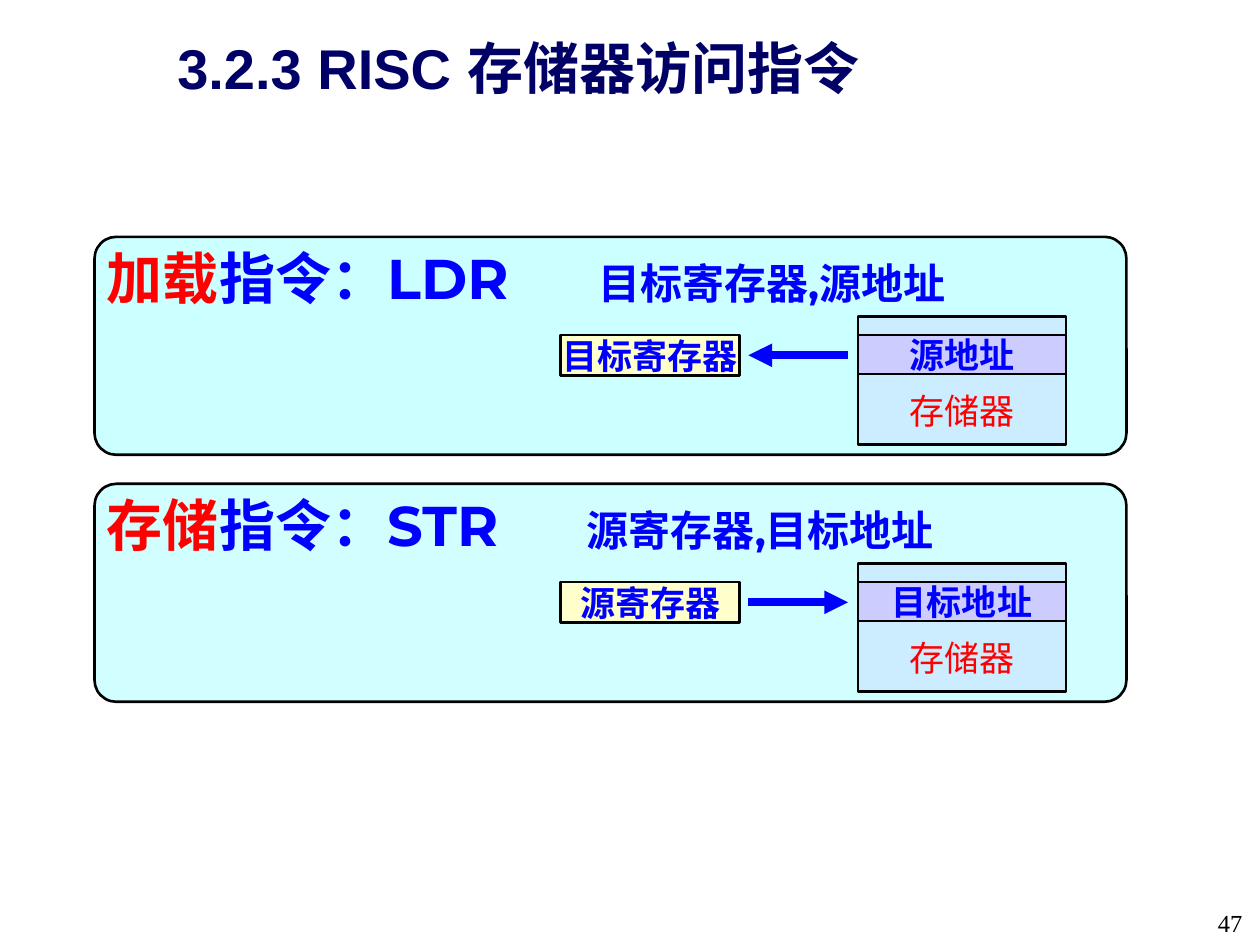
from dataclasses import dataclass

from lxml import etree
from pptx import Presentation
from pptx.dml.color import RGBColor
from pptx.enum.shapes import MSO_CONNECTOR, MSO_SHAPE
from pptx.enum.text import MSO_ANCHOR, PP_ALIGN
from pptx.oxml.ns import qn
from pptx.util import Inches, Pt

RECT, ROUND = MSO_SHAPE.RECTANGLE, MSO_SHAPE.ROUNDED_RECTANGLE
STRAIGHT = MSO_CONNECTOR.STRAIGHT
TOP, MIDDLE = MSO_ANCHOR.TOP, MSO_ANCHOR.MIDDLE
LEFT, CENTER, RIGHT = PP_ALIGN.LEFT, PP_ALIGN.CENTER, PP_ALIGN.RIGHT


@dataclass(frozen=True)
class Theme:
    navy: str = "000066"
    blue: str = "0000FF"
    red: str = "FF0000"
    black: str = "000000"
    ink: str = "010000"
    cyan: str = "CCFFFF"
    sky: str = "CCECFF"
    lilac: str = "CCCCFF"
    cream: str = "FFFFCC"
    serif: str = "Times New Roman"
    sans: str = "Arial"
    code: str = "Montserrat"
    head: int = 32
    lead: int = 24
    label: int = 20
    foot: int = 14
    edge: float = 1.5
    arrow: float = 4.5


class Deck:
    """Hold the theme and the current slide, and draw each kind of element."""

    def __init__(self, prs, theme):
        self.theme = theme
        self.slide = prs.slides.add_slide(prs.slide_layouts[5])
        self.shapes = self.slide.shapes

    def apply(self, target, values):
        for name, value in values.items():
            setattr(target, name, value)

    def place(self, box):
        return [Inches(length) for length in box]

    def fill_text(self, frame, runs, align, anchor=TOP, wrap=True, pad=(0.1, 0.05)):
        side, edge = self.place(pad)
        self.apply(frame, {
            "word_wrap": wrap, "vertical_anchor": anchor,
            "margin_left": side, "margin_right": side,
            "margin_top": edge, "margin_bottom": edge,
        })
        para = frame.paragraphs[0]
        para.alignment = align
        for text, size, face, color, bold in runs:
            run = para.add_run()
            run.text = text
            self.apply(run.font, {"size": Pt(size), "name": face, "bold": bold})
            run.font.color.rgb = RGBColor.from_string(color)
        return para

    def title(self, text, box):
        t = self.theme
        holder = self.shapes.title
        self.apply(holder, dict(zip(("left", "top", "width", "height"), self.place(box))))
        para = self.fill_text(holder.text_frame, [(text, t.head, t.sans, t.navy, True)],
                              CENTER, pad=(0.09, 0.05))
        para.line_spacing = 0.9

    def text(self, runs, box, align=LEFT, tab=None):
        frame = self.shapes.add_textbox(*self.place(box)).text_frame
        para = self.fill_text(frame, runs, align)
        if tab:
            stops = etree.SubElement(para._p.get_or_add_pPr(), qn("a:tabLst"))
            etree.SubElement(stops, qn("a:tab"), pos=str(Inches(tab)), algn="l")

    def block(self, kind, box, fill):
        shape = self.shapes.add_shape(kind, *self.place(box))
        shape.shadow.inherit = False
        shape.fill.solid()
        shape.fill.fore_color.rgb = RGBColor.from_string(fill)
        shape.line.color.rgb = RGBColor.from_string(self.theme.black)
        shape.line.width = Pt(self.theme.edge)
        return shape

    def panel(self, box, alpha):
        shape = self.block(ROUND, box, self.theme.cyan)
        shape.adjustments[0] = 0.1
        if alpha < 100:
            color = shape._element.spPr.find(qn("a:solidFill")).find(qn("a:srgbClr"))
            etree.SubElement(color, qn("a:alpha"), val=str(alpha * 1000))

    def cell(self, text, box, fill, color, bold=True, drop=0):
        t = self.theme
        frame = self.block(RECT, box, fill).text_frame
        self.fill_text(frame, [(text, t.label, t.serif, color, bold)], CENTER,
                       MIDDLE, False, (0, 0))
        frame.margin_top = Inches(drop)

    def arrow(self, start, end, y):
        line = self.shapes.add_connector(STRAIGHT, *self.place((start, y, end, y)))
        line.line.color.rgb = RGBColor.from_string(self.theme.blue)
        line.line.width = Pt(self.theme.arrow)
        props = line._element.spPr
        etree.SubElement(props.find(qn("a:ln")), qn("a:tailEnd"), type="triangle")
        etree.SubElement(props, qn("a:effectLst"))

    def command(self, top, verb, code, names, cells, ends, alpha, tab):
        t = self.theme
        self.panel((0.75, top, 8.19, 1.73), alpha)
        self.text([
            (verb, t.head, t.serif, t.red, True),
            ("指令：", t.head, t.serif, t.blue, True),
            (code + "\t", t.head, t.code, t.blue, True),
            (names, t.lead, t.code, t.blue, True),
        ], (0.75, top, 7.8, 0.63), tab=tab)
        self.cell("存储器", (6.81, top + 0.63, 1.65, 1.02), t.sky, t.red, False, 0.48)
        store, address = cells
        self.cell(address, (6.81, top + 0.78, 1.65, 0.31), t.lilac, t.blue)
        self.cell(store, (4.45, top + 0.78, 1.42, 0.32), t.cream, t.blue)
        self.arrow(*ends, top + 0.94)


def main():
    prs = Presentation()
    prs.slide_width, prs.slide_height = Inches(10), Inches(7.5)
    theme = Theme()
    deck = Deck(prs, theme)
    deck.title("3.2.3 RISC 存储器访问指令", (0.2, 0.28, 7.83, 0.92))
    rows = [
        ("加载", "LDR", "目标寄存器,源地址", ("目标寄存器", "源地址"), (6.73, 5.94), 100, 3.9),
        ("存储", "STR", "源寄存器,目标地址", ("源寄存器", "目标地址"), (5.94, 6.73), 90, 3.81),
    ]
    for index, row in enumerate(rows):
        deck.command(1.88 + 1.96 * index, *row)
    deck.text([("47", theme.foot, theme.serif, theme.ink, False)],
              (9.2, 7.16, 0.76, 0.34), RIGHT)
    prs.save("out.pptx")


if __name__ == "__main__":
    main()
